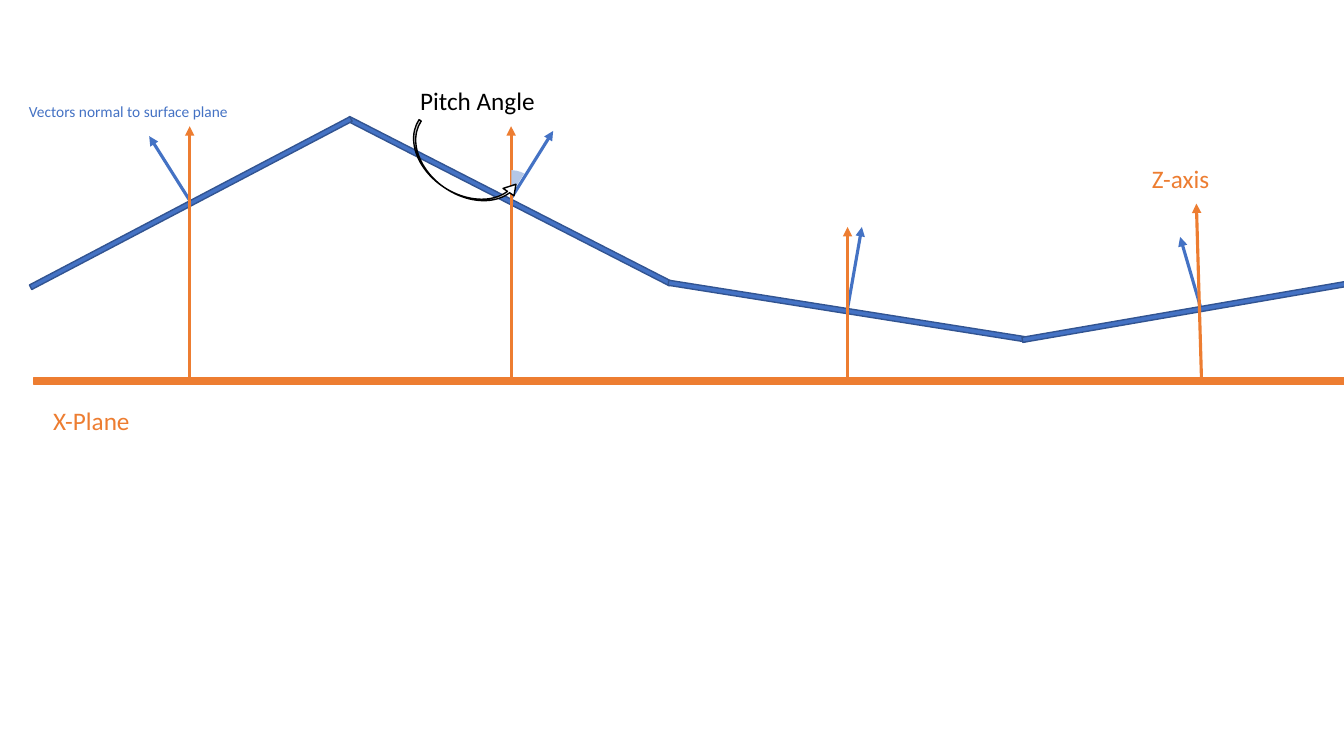
from dataclasses import dataclass

from lxml import etree
from pptx import Presentation
from pptx.dml.color import RGBColor
from pptx.enum.shapes import MSO_CONNECTOR, MSO_SHAPE
from pptx.enum.text import MSO_AUTO_SIZE
from pptx.oxml.ns import qn
from pptx.util import Cm, Pt

RECT = MSO_SHAPE.RECTANGLE
PIE = MSO_SHAPE.PIE
CURVED_ARROW = MSO_SHAPE.CURVED_RIGHT_ARROW
STRAIGHT = MSO_CONNECTOR.STRAIGHT
GROW = MSO_AUTO_SIZE.SHAPE_TO_FIT_TEXT


@dataclass(frozen=True)
class Theme:
    font: str = "Calibri"
    surface: str = "4472C4"
    surface_edge: str = "325491"
    axis: str = "ED7D31"
    angle: str = "B4C7E7"
    ink: str = "000000"
    paper: str = "FFFFFF"
    label: int = 18
    note: int = 11
    outline: float = 1
    arrow: float = 2.25


def rgb(code):
    return RGBColor.from_string(code)


def write_text(tf, text, *, font, size, color):
    p = tf.paragraphs[0]
    r = p.add_run()
    r.text = text
    r.font.name = font
    r.font.size = Pt(size)
    r.font.color.rgb = rgb(color)


class Diagram:
    def __init__(self, s, theme):
        self.s = s
        self.theme = theme

    def shape(self, kind, x, y, w, h, fill, line=None, rotation=0, adjust=()):
        sp = self.s.shapes.add_shape(kind, Cm(x), Cm(y), Cm(w), Cm(h))
        sp.shadow.inherit = False
        sp.rotation = rotation
        for i, value in enumerate(adjust):
            sp.adjustments[i] = value
        sp.fill.solid()
        sp.fill.fore_color.rgb = rgb(fill)
        if line:
            sp.line.color.rgb = rgb(line)
            sp.line.width = Pt(self.theme.outline)
        else:
            sp.line.fill.background()

    def panel(self, center_x, center_y, rotation, length=9.12, thickness=0.13):
        self.shape(RECT, center_x - length / 2, center_y - thickness / 2,
                   length, thickness, self.theme.surface,
                   self.theme.surface_edge, rotation)

    def arrow(self, start, end, color):
        c = self.s.shapes.add_connector(STRAIGHT, *map(Cm, start + end))
        c.line.color.rgb = rgb(color)
        c.line.width = Pt(self.theme.arrow)
        ln = c.line._get_or_add_ln()
        etree.SubElement(ln, qn("a:tailEnd"), type="triangle")
        etree.SubElement(c._element.spPr, qn("a:effectLst"))

    def label(self, text, x, y, w, h, color, size):
        sp = self.s.shapes.add_textbox(Cm(x), Cm(y), Cm(w), Cm(h))
        tf = sp.text_frame
        tf.word_wrap = True
        tf.auto_size = GROW
        write_text(tf, text, font=self.theme.font, size=size, color=color)


def main():
    prs = Presentation()
    prs.slide_width, prs.slide_height = Cm(33.87), Cm(19.05)
    theme = Theme()
    d = Diagram(prs.slides.add_slide(prs.slide_layouts[6]), theme)

    panels = [(12.84, 5.07, 27.1), (21.35, 7.84, 9),
              (4.81, 5.12, 332.3), (30.26, 7.79, 350.2)]
    normals = [((4.78, 5.05), (3.76, 3.43)), ((12.88, 5), (13.94, 3.3)),
               ((21.36, 7.77), (21.72, 5.72)), ((30.25, 7.72), (29.74, 5.97))]
    z_axes = [((4.78, 9.53), (4.78, 3.18)), ((12.88, 9.53), (12.88, 3.18)),
              ((21.36, 9.53), (21.36, 5.72)), ((30.28, 9.6), (30.15, 5.13))]

    for panel in panels:
        d.panel(*panel)
    for foot, tip in normals:
        d.arrow(foot, tip, theme.surface)
    d.label("Vectors normal to surface plane", 0.48, 2.46, 6.1, 0.74,
            theme.surface, theme.note)

    d.shape(RECT, 0.84, 9.53, 33.03, 0.15, theme.axis, theme.axis)
    for foot, tip in z_axes:
        d.arrow(foot, tip, theme.axis)
    d.label("X-Plane", 1.09, 10.08, 3.18, 1.02, theme.axis, theme.label)
    d.label("Z-axis", 28.78, 3.99, 2.97, 1.02, theme.axis, theme.label)

    d.shape(PIE, 12.19, 4.29, 1.4, 1.19, theme.angle,
            rotation=12.7, adjust=(154.19, 173.69))
    d.label("Pitch Angle", 10.34, 2.03, 3.51, 1.02, theme.ink, theme.label)
    d.shape(CURVED_ARROW, 11.02, 2.77, 1.07, 3.1, theme.paper, theme.ink,
            rotation=303.7, adjust=(0.06, 0.31, 0.25))

    prs.save("out.pptx")


if __name__ == "__main__":
    main()
